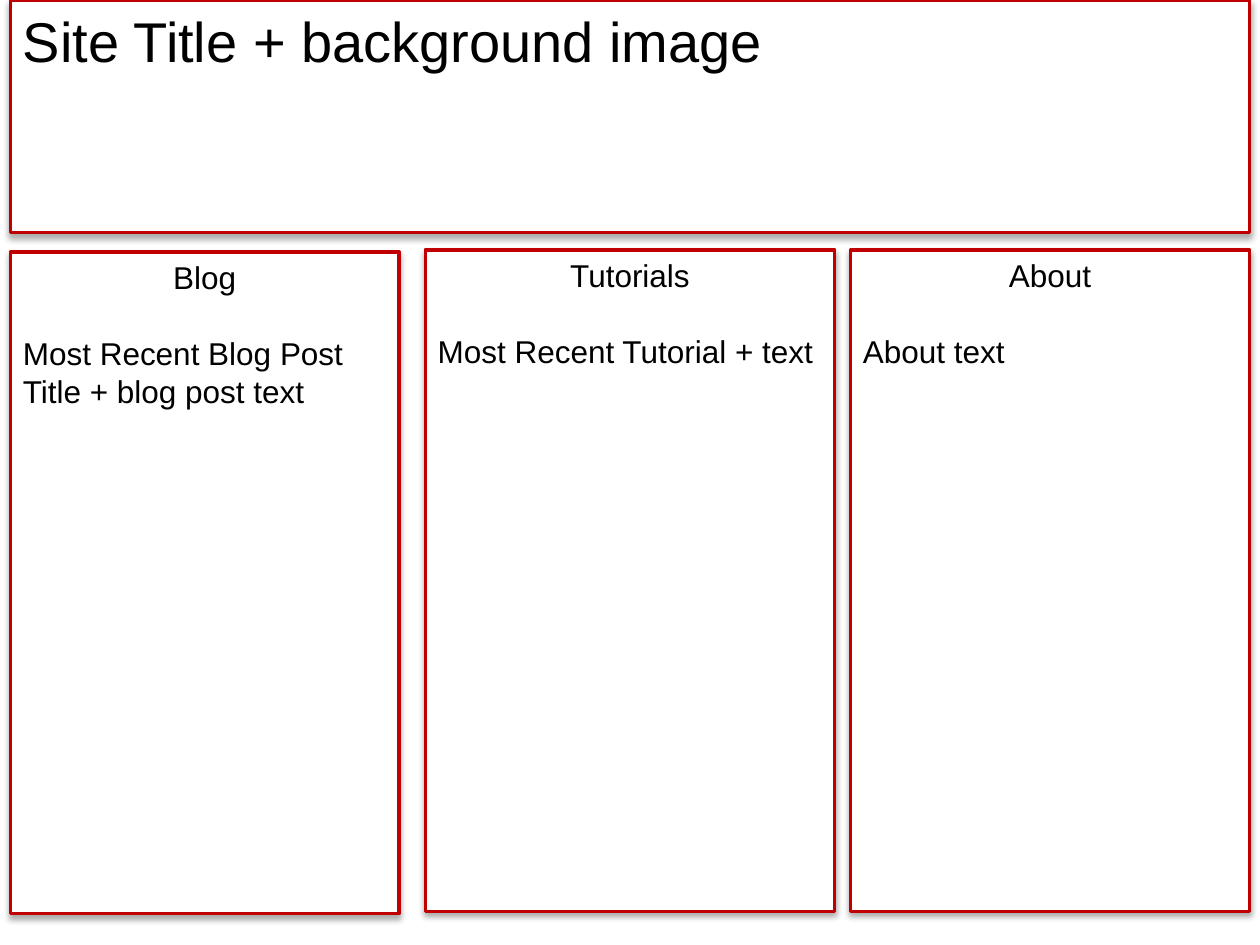
from lxml.etree import SubElement
from pptx import Presentation
from pptx.dml.color import RGBColor
from pptx.enum.shapes import MSO_SHAPE
from pptx.enum.text import MSO_ANCHOR, PP_ALIGN
from pptx.oxml.ns import qn
from pptx.util import Pt

COLORS = {"panel": "FFFFFF", "border": "C00000", "text": "000000", "shadow": "000000"}


def add_panel(slide, left, top, width, height):
    shape = slide.shapes.add_shape(
        MSO_SHAPE.RECTANGLE, Pt(left), Pt(top), Pt(width), Pt(height)
    )
    shape.fill.solid()
    shape.fill.fore_color.rgb = RGBColor.from_string(COLORS["panel"])
    shape.line.color.rgb = RGBColor.from_string(COLORS["border"])
    shape.line.width = Pt(2)
    shape.shadow.inherit = False
    effects = shape.element.spPr.find(qn("a:effectLst"))
    shadow = SubElement(
        effects, qn("a:outerShdw"), blurRad=str(Pt(3.5)), dist=str(Pt(2.2)),
        dir="5400000", rotWithShape="0",
    )
    shadow_color = SubElement(shadow, qn("a:srgbClr"), val=COLORS["shadow"])
    SubElement(shadow_color, qn("a:alpha"), val="32000")
    shape.text_frame.word_wrap = True
    shape.text_frame.vertical_anchor = MSO_ANCHOR.TOP
    return shape.text_frame


def write_paragraph(paragraph, text, size, alignment=PP_ALIGN.LEFT):
    paragraph.text = text
    paragraph.alignment = alignment
    paragraph.font.name = "Arial"
    paragraph.font.size = Pt(size)
    paragraph.font.color.rgb = RGBColor.from_string(COLORS["text"])


presentation = Presentation()
presentation.slide_width = Pt(720)
presentation.slide_height = Pt(540)
slide = presentation.slides.add_slide(presentation.slide_layouts[6])

columns = [
    (6, 144, 222, "Blog", "Most Recent Blog Post Title + blog post text"),
    (243, 142.75, 234, "Tutorials", "Most Recent Tutorial + text"),
    (486, 142.75, 228, "About", "About text"),
]
for left, top, width, heading, body in columns:
    text_frame = add_panel(slide, left, top, width, 378)
    heading_paragraph = text_frame.paragraphs[0]
    write_paragraph(heading_paragraph, heading, 18, PP_ALIGN.CENTER)
    heading_paragraph.space_after = Pt(22)
    write_paragraph(text_frame.add_paragraph(), body, 18)

title_frame = add_panel(slide, 6, 0, 708, 133)
write_paragraph(title_frame.paragraphs[0], "Site Title + background image", 32)

presentation.save("out.pptx")
